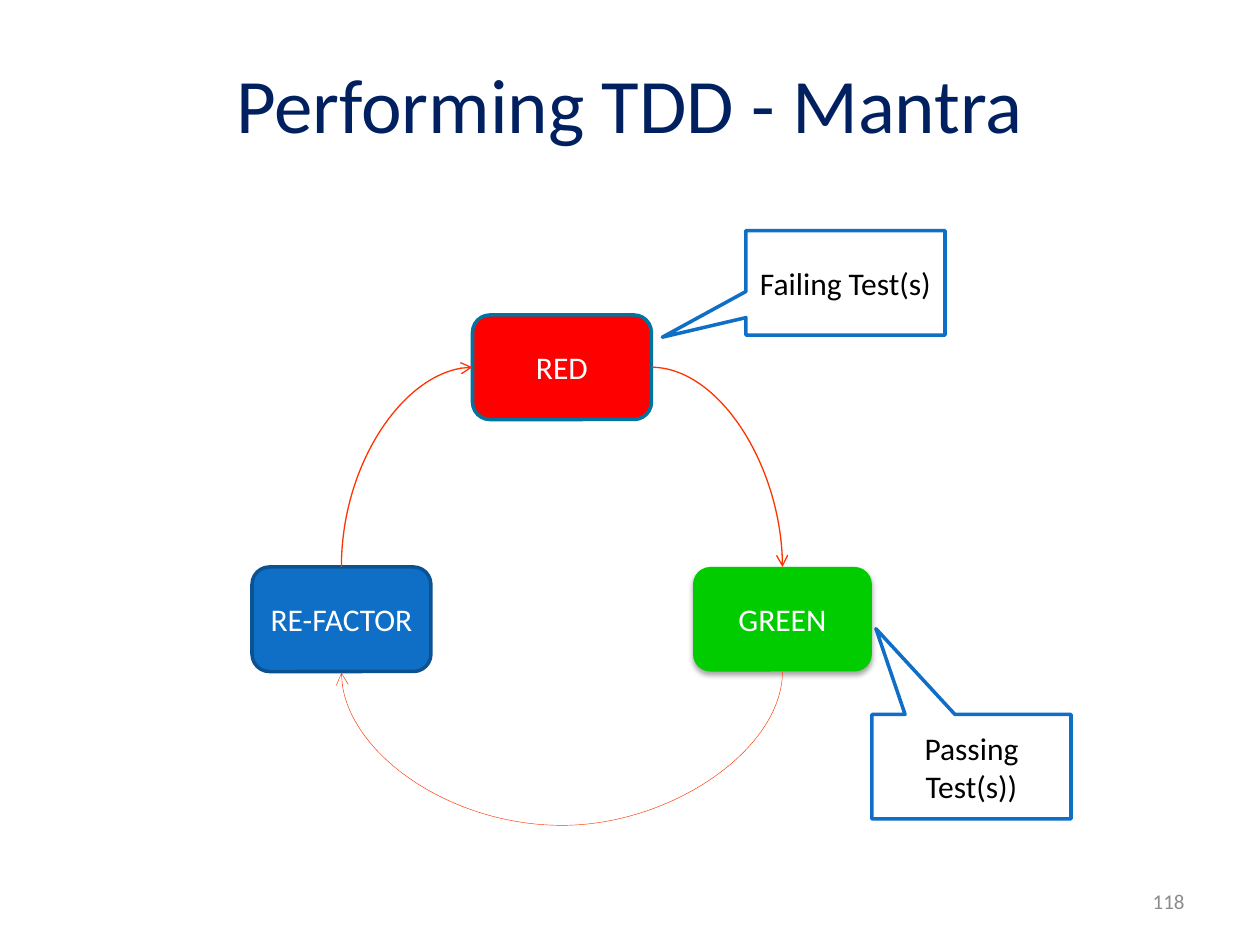
from lxml.etree import SubElement
from pptx import Presentation
from pptx.dml.color import RGBColor
from pptx.enum.shapes import MSO_CONNECTOR, MSO_SHAPE
from pptx.enum.text import MSO_ANCHOR, PP_ALIGN
from pptx.oxml.ns import qn
from pptx.util import Inches, Pt

NAVY = RGBColor(0x00, 0x20, 0x60)
GRAY = RGBColor(0x8C, 0x8C, 0x8C)
BLACK = RGBColor(0x00, 0x00, 0x00)
WHITE = RGBColor(0xFF, 0xFF, 0xFF)
RED = RGBColor(0xFF, 0x00, 0x00)
GREEN = RGBColor(0x00, 0xCC, 0x00)
BLUE = RGBColor(0x0F, 0x6F, 0xC6)
DARK_BLUE = RGBColor(0x0B, 0x52, 0x92)
TEAL = RGBColor(0x00, 0x74, 0xA1)
ORANGE = RGBColor(0xFF, 0x33, 0x00)

# Content
TITLE = "Performing TDD - Mantra"
PAGE_NUMBER = "118"
STEP_WIDTH, STEP_HEIGHT = 1.42, 0.83
STEPS = {  # text: left, top, fill, line
    "RED": (3.75, 2.5, RED, TEAL),
    "GREEN": (5.5, 4.5, GREEN, None),
    "RE-FACTOR": (2, 4.5, BLUE, DARK_BLUE),
}
CALLOUT_WIDTH = 1.58
CALLOUTS = [  # text, left, top, pointer offsets
    ("Failing Test(s)", 5.92, 1.83, (-0.92, 0.52)),
    ("Passing Test(s))", 6.92, 5.67, (-0.48, -1.32)),
]
ARC_DEPTH = 1.24
ARC_SPAN = 0.01  # a small drop gives the bottom arc a width to scale from


def write_text(shape, text, size=18, color=BLACK, align=PP_ALIGN.CENTER):
    frame = shape.text_frame
    frame.word_wrap = True
    frame.vertical_anchor = MSO_ANCHOR.MIDDLE
    para = frame.paragraphs[0]
    para.alignment = align
    span = para.add_run()
    span.text = text
    span.font.name = "Calibri"
    span.font.size = Pt(size)
    span.font.color.rgb = color


def add_box(page, kind, left, top, width, fill, line):
    box = page.shapes.add_shape(kind, Inches(left), Inches(top),
                                Inches(width), Inches(STEP_HEIGHT))
    box.shadow.inherit = False
    box.fill.solid()
    box.fill.fore_color.rgb = fill
    if line is None:
        box.line.fill.background()
    else:
        box.line.color.rgb = line
        box.line.width = Pt(2)
    return box


def add_soft_shadow(box):
    effects = box._element.spPr.find(qn("a:effectLst"))
    shadow = SubElement(effects, qn("a:outerShdw"), blurRad=str(Pt(3.1)),
                        dist=str(Pt(1.8)), dir="5400000", rotWithShape="0")
    color = SubElement(shadow, qn("a:srgbClr"), val="000000")
    SubElement(color, qn("a:alpha"), val="35000")


def add_curve(page, start, end, preset="curvedConnector2", weight=0.75,
              turned=False, bend=None):
    """Curve from start to end; a turned one leaves vertically."""
    if turned:
        # Turn the ends back a quarter about their centre, then rotate the frame
        x, y = (start[0] + end[0]) / 2, (start[1] + end[1]) / 2
        start, end = [(x + py - y, y - px + x) for px, py in (start, end)]
    curve = page.shapes.add_connector(
        MSO_CONNECTOR.CURVE, *[Inches(value) for value in (*start, *end)])
    curve.line.color.rgb = ORANGE
    curve.line.width = Pt(weight)
    properties = curve._element.spPr
    if turned:
        properties.find(qn("a:xfrm")).set("rot", "5400000")
    geometry = properties.find(qn("a:prstGeom"))
    geometry.set("prst", preset)
    if bend is not None:
        SubElement(geometry.find(qn("a:avLst")), qn("a:gd"), name="adj1",
                   fmla=f"val {round(bend * 100000)}")
    SubElement(properties.find(qn("a:ln")), qn("a:tailEnd"), type="arrow")
    SubElement(properties, qn("a:effectLst"))


def step_point(name, across, down):
    left, top = STEPS[name][:2]
    return left + across * STEP_WIDTH, top + down * STEP_HEIGHT


def main():
    deck = Presentation()
    deck.slide_width, deck.slide_height = Inches(10), Inches(7.5)
    page = deck.slides.add_slide(deck.slide_layouts[5])

    # Title and page number
    title = page.shapes.title
    title.left, title.top = Inches(0.5), Inches(0.3)
    title.width, title.height = Inches(9), Inches(1.03)
    write_text(title, TITLE, size=44, color=NAVY)
    number = page.shapes.add_textbox(Inches(7.17), Inches(6.95),
                                     Inches(2.33), Inches(0.4))
    write_text(number, PAGE_NUMBER, size=12, color=GRAY, align=PP_ALIGN.RIGHT)

    # Steps of the cycle
    for text, (left, top, fill, line) in STEPS.items():
        box = add_box(page, MSO_SHAPE.ROUNDED_RECTANGLE, left, top,
                      STEP_WIDTH, fill, line)
        write_text(box, text, color=WHITE)
        if line is None:
            add_soft_shadow(box)

    # Curved arrows between the steps
    add_curve(page, step_point("RED", 1, 0.5), step_point("GREEN", 0.5, 0))
    end_x, end_y = step_point("RE-FACTOR", 0.5, 1)
    add_curve(page, step_point("GREEN", 0.5, 1), (end_x, end_y + ARC_SPAN),
              preset="curvedConnector3", weight=0.25, turned=True,
              bend=ARC_DEPTH / ARC_SPAN)
    add_curve(page, step_point("RE-FACTOR", 0.5, 0), step_point("RED", 0, 0.5),
              turned=True)

    # Callouts
    for text, left, top, pointer in CALLOUTS:
        box = add_box(page, MSO_SHAPE.RECTANGULAR_CALLOUT, left, top,
                      CALLOUT_WIDTH, WHITE, BLUE)
        box.adjustments[0], box.adjustments[1] = pointer
        write_text(box, text)

    deck.save("out.pptx")


if __name__ == "__main__":
    main()
